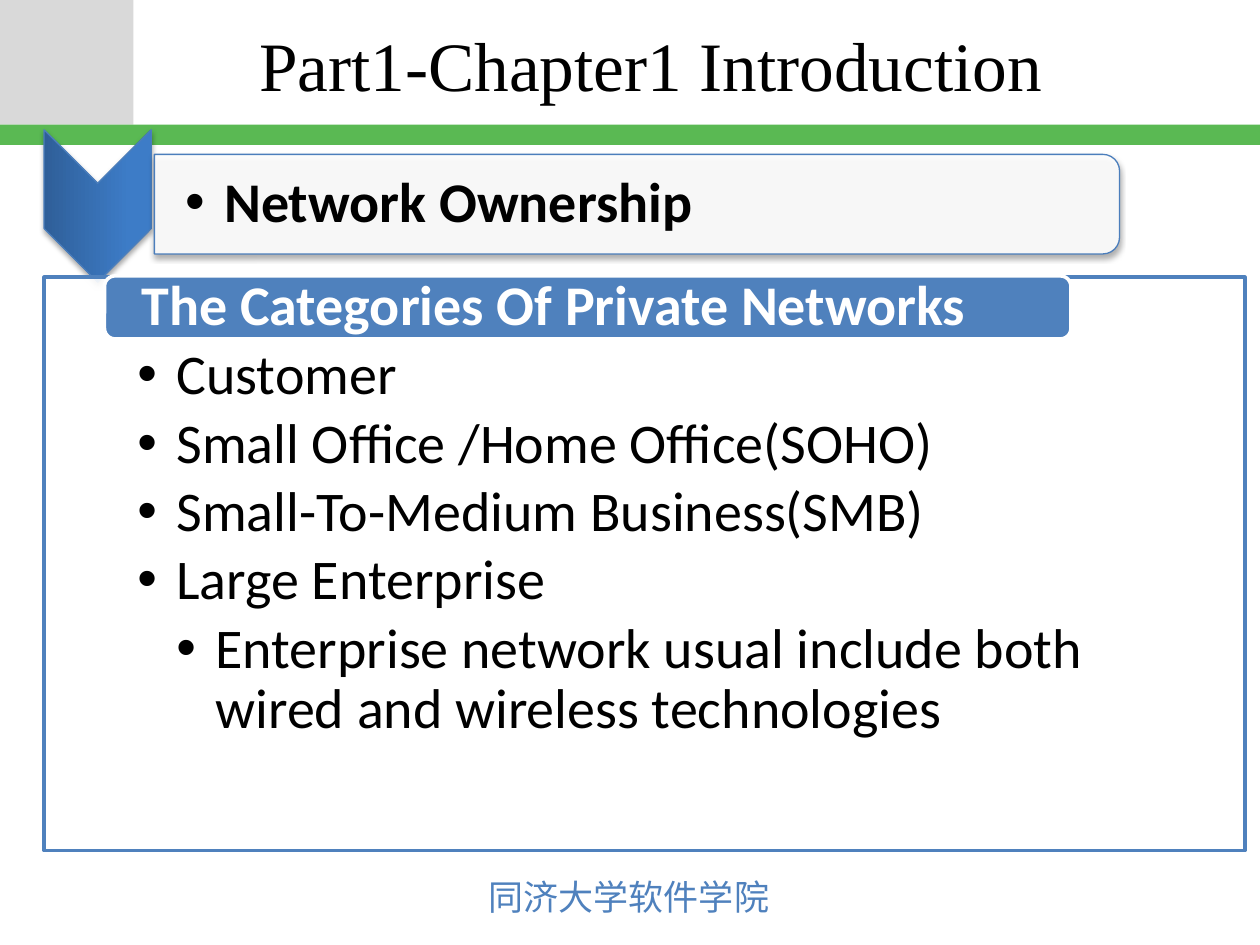
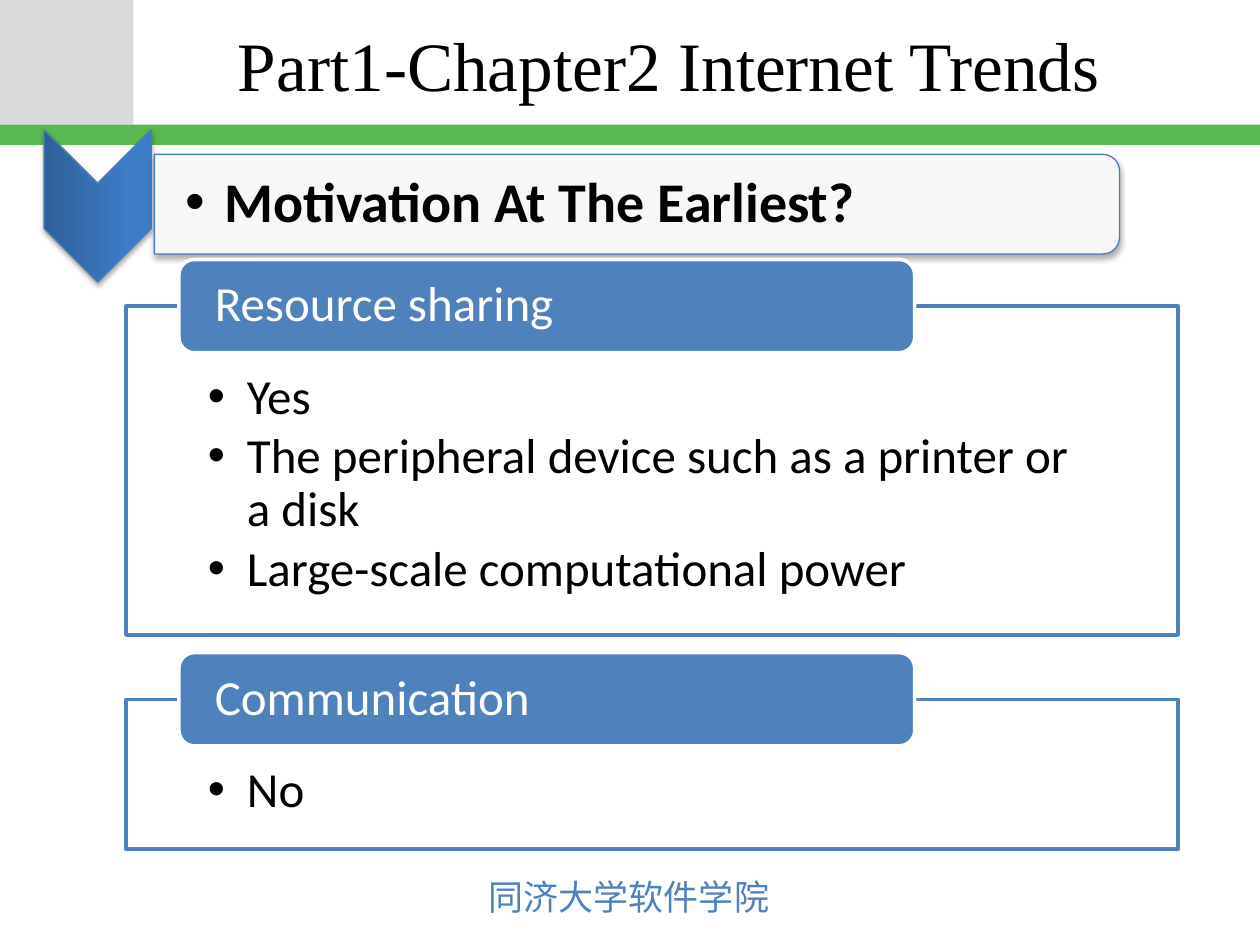
from pptx import Presentation
from pptx.dml.color import RGBColor
from pptx.enum.shapes import MSO_SHAPE
from pptx.enum.text import MSO_ANCHOR, MSO_AUTO_SIZE, PP_ALIGN
from pptx.oxml.ns import qn
from pptx.util import Inches, Pt
from lxml.etree import SubElement

# Content: each list item is (level, text)
PAGES = [
    {
        "title": "Part1-Chapter1 Introduction",
        "title_width": 6.85,
        "banner": "Network Ownership",
        "style": {"left": 0.35, "width": 9.53, "insets": (0.74, 0.55, 0.74, 0.25),
                  "tab": (0.83, 7.67, 0.5), "tab_rise": 0.01, "tab_inset": 0.27,
                  "size": 32, "tab_bold": True},
        "panels": [
            {"top": 2.2, "height": 4.55,
             "heading": "The Categories Of Private Networks",
             "items": [
                 (1, "Customer"),
                 (1, "Small Office /Home Office(SOHO)"),
                 (1, "Small-To-Medium Business(SMB)"),
                 (1, "Large Enterprise"),
                 (2, "Enterprise network usual include both wired and wireless technologies"),
             ]},
        ],
    },
    {
        "title": "Part1-Chapter2 Internet Trends",
        "title_width": 7.14,
        "banner": "Motivation At The Earliest?",
        "style": {"left": 1, "width": 8.35, "insets": (0.65, 0.52, 0.65, 0.22),
                  "tab": (1.42, 5.84, 0.74), "tab_rise": 0.37, "tab_inset": 0.25,
                  "size": 28, "tab_bold": False},
        "panels": [
            {"top": 2.43, "height": 2.61, "heading": "Resource sharing",
             "items": [
                 (1, "Yes"),
                 (1, "The peripheral device such as a printer or a disk"),
                 (1, "Large-scale computational power"),
             ]},
            {"top": 5.55, "height": 1.19, "heading": "Communication",
             "items": [(1, "No")]},
        ],
    },
]
FOOTER = "同济大学软件学院"

# Shared look
BLUE, EDGE, WHITE, BLACK = "4F81BD", "4B7EBC", "FFFFFF", "000000"
GRAY, GREEN = "D9D9D9", "5AB953"
CHEVRON_DARK, CHEVRON_LIGHT = "2F5F99", "3D7CC7"
BODY_FONT, TITLE_FONT, FOOTER_FONT = "Calibri", "Times New Roman", "Noto Sans CJK JP"
INDENT = 0.31
LAYOUT_BY_PANELS = {1: 1, 2: 3}


def color(hex_text):
    return RGBColor.from_string(hex_text)


def place(shape, left, top, width, height):
    shape.left, shape.top = Inches(left), Inches(top)
    shape.width, shape.height = Inches(width), Inches(height)


def paint(shape, fill, line=None, weight=0.75, opacity=100):
    shape.fill.solid()
    shape.fill.fore_color.rgb = color(fill)
    if opacity < 100:
        solid = shape.fill._xPr.find(qn("a:solidFill"))
        SubElement(solid[0], qn("a:alpha"), val=str(opacity * 1000))
    outline(shape, line, weight)


def outline(shape, line, weight):
    if line:
        shape.line.color.rgb = color(line)
        shape.line.width = Pt(weight)
    else:
        shape.line.fill.background()


def add_box(page, kind, left, top, width, height):
    box = page.shapes.add_shape(kind, Inches(left), Inches(top), Inches(width), Inches(height))
    box.shadow.inherit = False
    return box


def add_text_box(page, left, top, width, height):
    return page.shapes.add_textbox(Inches(left), Inches(top), Inches(width), Inches(height))


def drop_shadow(shape):
    effects = shape._element.spPr.find(qn("a:effectLst"))
    shadow = SubElement(effects, qn("a:outerShdw"), blurRad=str(Pt(3.1)), dist=str(Pt(1.8)),
                        dir=str(90 * 60000), rotWithShape="0")
    tone = SubElement(shadow, qn("a:srgbClr"), val=BLACK)
    SubElement(tone, qn("a:alpha"), val="35000")


def set_frame(frame, insets, anchor):
    frame.word_wrap = True
    frame.auto_size = MSO_AUTO_SIZE.NONE
    frame.vertical_anchor = anchor
    frame.margin_left, frame.margin_top, frame.margin_right, frame.margin_bottom = map(Inches, insets)


def style_text(para, size, font, tone, bold=False):
    for span in para.runs:
        span.font.size, span.font.name, span.font.bold = Pt(size), font, bold
        span.font.color.rgb = color(tone)


def style_body(para, size, tone=BLACK, bold=False, level=0):
    style_text(para, size, BODY_FONT, tone, bold)
    para.alignment = PP_ALIGN.LEFT
    para.line_spacing = 0.9
    para.space_before = Pt(0)
    para.space_after = Pt(size * 0.14)
    if level:
        properties = para._p.get_or_add_pPr()
        properties.set("marL", str(Inches(INDENT * level)))
        properties.set("indent", str(Inches(-INDENT)))
        SubElement(properties, qn("a:buFont"), typeface="Arial")
        SubElement(properties, qn("a:buChar"), char="•")


def add_bands_and_footer(page):
    paint(add_box(page, MSO_SHAPE.RECTANGLE, 0, 0, 1.06, 0.99), GRAY)
    paint(add_box(page, MSO_SHAPE.RECTANGLE, 0, 0.99, 10, 0.16), GREEN)
    footer = add_text_box(page, 3.78, 6.9, 2.45, 0.44)
    footer.text_frame.text = FOOTER
    footer.text_frame.word_wrap = False
    para = footer.text_frame.paragraphs[0]
    style_text(para, 20, FOOTER_FONT, BLUE)
    SubElement(para.runs[0].font._element, qn("a:ea"), typeface=FOOTER_FONT)


def set_title(page, text, width):
    title = page.shapes.title
    place(title, 1.74, 0.02, width, 0.98)
    title.text_frame.text = text
    set_frame(title.text_frame, (0.1, 0.05, 0.1, 0.05), MSO_ANCHOR.MIDDLE)
    para = title.text_frame.paragraphs[0]
    para.alignment = PP_ALIGN.CENTER
    style_text(para, 39.6, TITLE_FONT, BLACK)


def add_banner(page, text):
    # Chevron pointing down
    chevron = add_box(page, MSO_SHAPE.CHEVRON, 0.17, 1.21, 1.21, 0.85)
    chevron.rotation = 90
    chevron.fill.gradient()
    chevron.fill.gradient_angle = 90
    start, end = chevron.fill.gradient_stops
    start.color.rgb, end.color.rgb = color(CHEVRON_DARK), color(CHEVRON_LIGHT)
    start.position, end.position = 0, 0.8
    outline(chevron, EDGE, 0.75)
    # Bar rounded on its right side
    bar = add_box(page, MSO_SHAPE.ROUND_2_SAME_RECTANGLE, 4.66, -2.21, 0.79, 7.66)
    bar.rotation = 90
    paint(bar, WHITE, EDGE, opacity=90)
    for shape in (chevron, bar):
        drop_shadow(shape)
    # Bar text
    label = add_text_box(page, 1.22, 1.27, 7.63, 0.71)
    label.text_frame.text = text
    set_frame(label.text_frame, (0.25, 0.02, 0.02, 0.02), MSO_ANCHOR.MIDDLE)
    style_body(label.text_frame.paragraphs[0], 32, bold=True, level=1)


def add_panel(page, body, panel, style):
    # Framed list, brought in front of the banner
    page.shapes._spTree.append(body._element)
    place(body, style["left"], panel["top"], style["width"], panel["height"])
    paint(body, WHITE, BLUE, 2, opacity=90)
    frame = body.text_frame
    frame.text = "\n".join(text for _, text in panel["items"])
    set_frame(frame, style["insets"], MSO_ANCHOR.TOP)
    for para, (level, _) in zip(frame.paragraphs, panel["items"]):
        para.level = level - 1
        style_body(para, style["size"], level=level)
    # Heading tab
    left, width, height = style["tab"]
    tab = add_box(page, MSO_SHAPE.ROUNDED_RECTANGLE, left, panel["top"] - style["tab_rise"],
                  width, height)
    paint(tab, BLUE, WHITE, 2)
    tab.text_frame.text = panel["heading"]
    set_frame(tab.text_frame, (style["tab_inset"], 0, style["tab_inset"], 0), MSO_ANCHOR.MIDDLE)
    para = tab.text_frame.paragraphs[0]
    style_body(para, style["size"], WHITE, style["tab_bold"])
    para.space_after = Pt(0)


def main():
    deck = Presentation()
    deck.slide_width, deck.slide_height = Inches(10), Inches(7.5)
    for content in PAGES:
        panels = content["panels"]
        page = deck.slides.add_slide(deck.slide_layouts[LAYOUT_BY_PANELS[len(panels)]])
        bodies = list(page.placeholders)[1:]
        add_bands_and_footer(page)
        set_title(page, content["title"], content["title_width"])
        add_banner(page, content["banner"])
        for body, panel in zip(bodies, panels):
            add_panel(page, body, panel, content["style"])
    deck.save("out.pptx")


if __name__ == "__main__":
    main()
